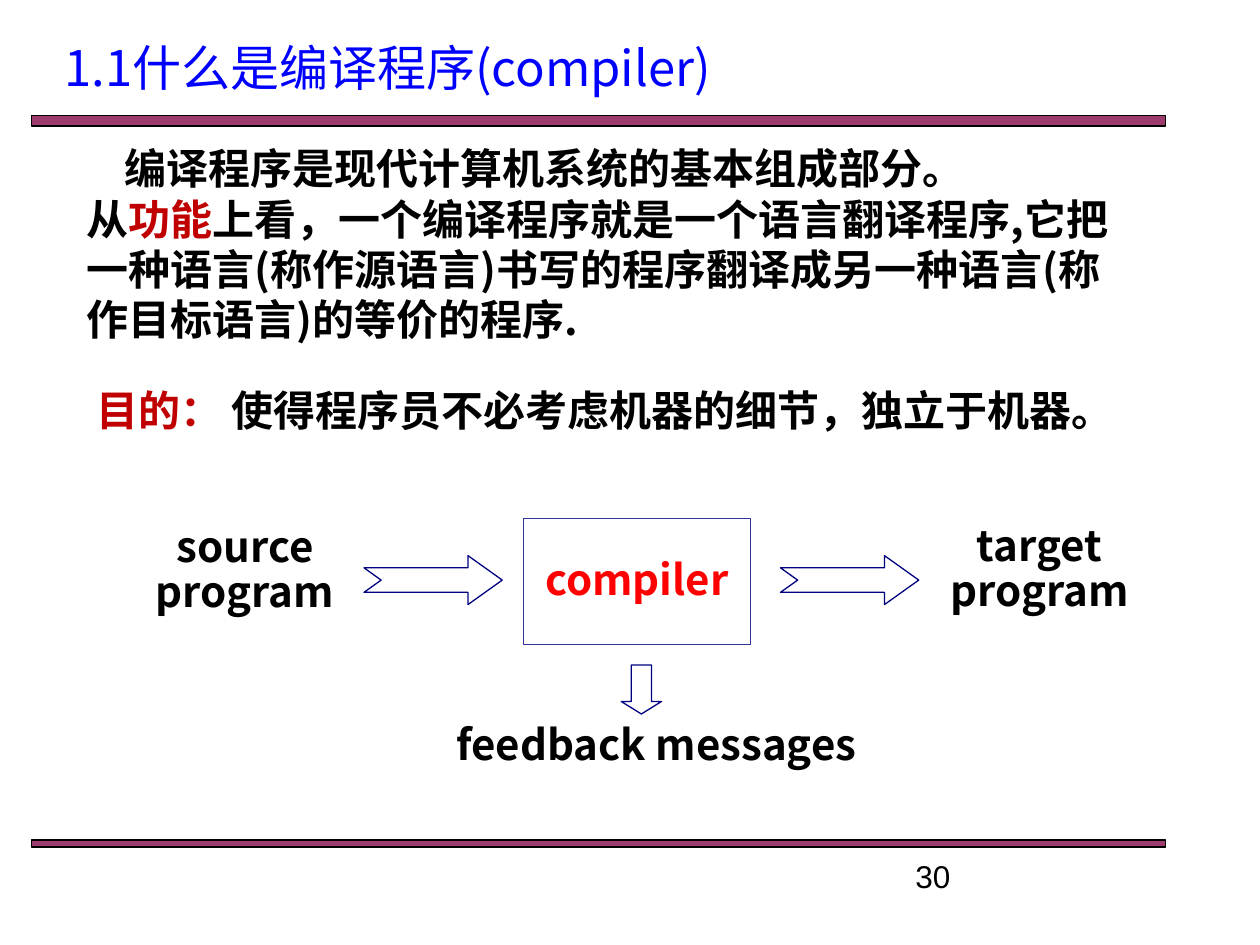
"""Build the slide that explains what a compiler is."""
from lxml.etree import SubElement
from pptx import Presentation
from pptx.dml.color import RGBColor
from pptx.enum.shapes import MSO_SHAPE
from pptx.enum.text import MSO_ANCHOR, PP_ALIGN
from pptx.oxml.ns import qn
from pptx.util import Pt

CJK = "Noto Sans CJK SC"
BLACK, RED, NAVY = "000000", "C00000", "000080"


def rgb(color):
    return RGBColor.from_string(color)


def write(frame, paragraphs, size=24, font=CJK, bold=True, align=PP_ALIGN.LEFT,
          spacing=None, wrap=True, anchor=MSO_ANCHOR.TOP, first_indent=0):
    frame.word_wrap = wrap
    frame.vertical_anchor = anchor
    for index, pieces in enumerate(paragraphs):
        paragraph = frame.add_paragraph() if index else frame.paragraphs[0]
        paragraph.alignment = align
        paragraph.line_spacing = spacing
        if first_indent and index == 0:
            paragraph._p.get_or_add_pPr().set("indent", str(Pt(first_indent)))
        for words, color in pieces:
            run = paragraph.add_run()
            run.text = words
            run.font.size = Pt(size)
            run.font.bold = bold
            run.font.name = font
            run.font.color.rgb = rgb(color)
            SubElement(run._r.get_or_add_rPr(), qn("a:ea"), typeface=font)


deck = Presentation()
deck.slide_width, deck.slide_height = Pt(720), Pt(540)
slide = deck.slides.add_slide(deck.slide_layouts[6])
shapes = slide.shapes

for top, height in [(66, 6), (480, 4)]:
    rule = shapes.add_shape(MSO_SHAPE.RECTANGLE, Pt(18), Pt(top), Pt(648), Pt(height))
    rule.shadow.inherit = False
    rule.fill.solid()
    rule.fill.fore_color.rgb = rgb("993366")
    tint = rule._element.spPr.find(qn("a:solidFill"))[0]
    SubElement(tint, qn("a:alpha"), val="96000")
    rule.line.color.rgb = rgb(BLACK)
    rule.line.width = Pt(0.75)

label = {"align": PP_ALIGN.CENTER, "spacing": 0.9}
texts = [
    (516, 486, 168, 30, [[("30", BLACK)]], {"size": 18, "font": "Arial", "bold": False}),
    (30, 18, 648, 60, [[("1.1什么是编译程序(compiler)", "0000FF")]], {"size": 28, "bold": False}),
    (42.5, 78, 612.5, 124,
     [[("编译程序是现代计算机系统的基本组成部分。", BLACK)],
      [("从", BLACK), ("功能", RED),
       ("上看，一个编译程序就是一个语言翻译程序,它把一种语言(称作源语言)书写的程序"
        "翻译成另一种语言(称作目标语言)的等价的程序.", BLACK)]],
     {"first_indent": 21.5}),
    (48, 216, 606, 36,
     [[("目的：", RED), (" 使得程序员不必考虑机器的细节，独立于机器。", BLACK)]], {}),
    (66, 297, 148, 60, [[("source program", BLACK)]], label),
    (520, 296.5, 148, 60, [[("target program", BLACK)]], label),
    (225, 410.5, 300, 33, [[("feedback messages", BLACK)]], label),
]
for left, top, width, height, paragraphs, style in texts:
    box = shapes.add_textbox(Pt(left), Pt(top), Pt(width), Pt(height))
    write(box.text_frame, paragraphs, **style)

diagram = [
    (MSO_SHAPE.RECTANGLE, 299, 296.5, 130, 72, "333399", []),
    (MSO_SHAPE.NOTCHED_RIGHT_ARROW, 208, 317.5, 79, 28, NAVY, [0.5, 0.7]),
    (MSO_SHAPE.NOTCHED_RIGHT_ARROW, 446, 317.5, 79, 28, NAVY, [0.5, 0.7]),
    (MSO_SHAPE.DOWN_ARROW, 355, 380, 23, 28, NAVY, [0.5, 0.31]),
]
for kind, left, top, width, height, outline, adjustments in diagram:
    part = shapes.add_shape(kind, Pt(left), Pt(top), Pt(width), Pt(height))
    part.shadow.inherit = False
    part.fill.solid()
    part.fill.fore_color.rgb = rgb("FFFFFF")
    part.line.color.rgb = rgb(outline)
    part.line.width = Pt(0.75)
    for index, value in enumerate(adjustments):
        part.adjustments[index] = value
    if kind == MSO_SHAPE.RECTANGLE:
        write(part.text_frame, [[("compiler", "FF0000")]], wrap=False,
              anchor=MSO_ANCHOR.MIDDLE, **label)

deck.save("out.pptx")
